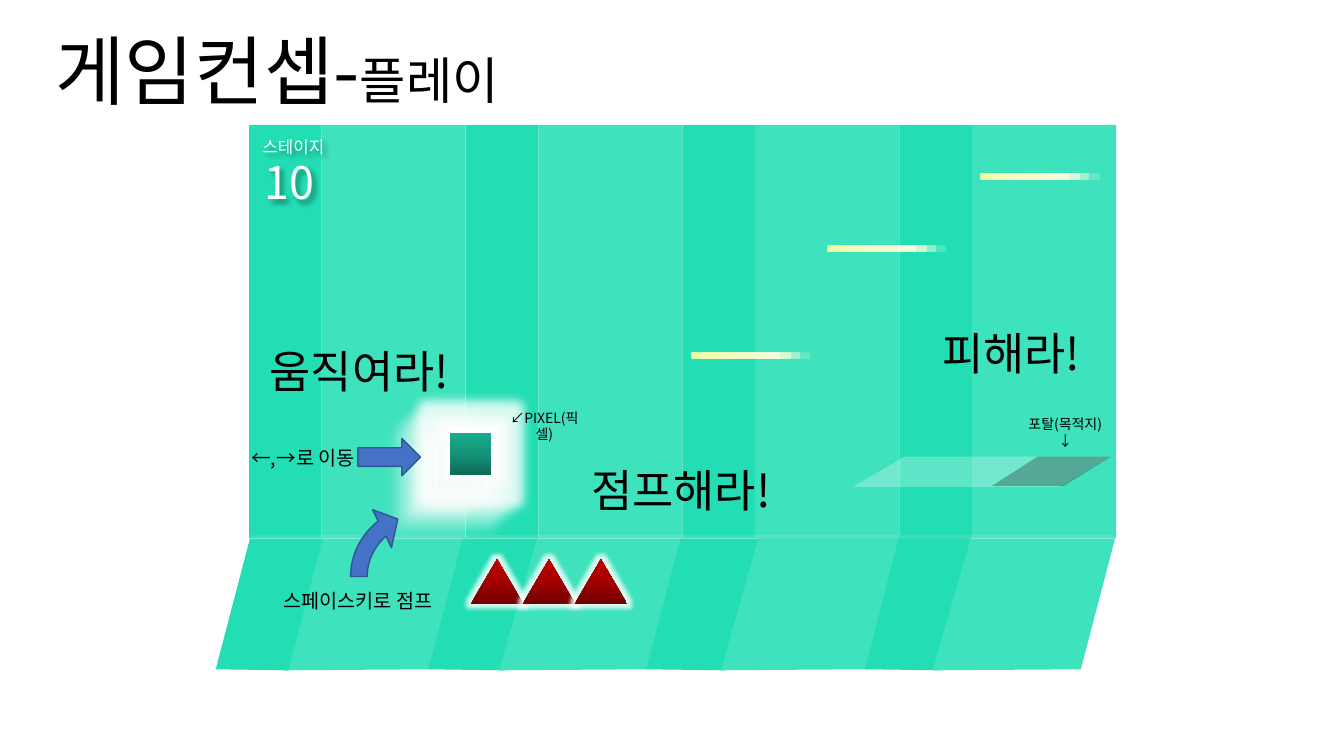
from lxml.etree import SubElement
from pptx import Presentation
from pptx.dml.color import RGBColor
from pptx.enum.shapes import MSO_SHAPE as Preset
from pptx.enum.text import MSO_AUTO_SIZE as AutoSize, PP_ALIGN as Align
from pptx.oxml.ns import qn
from pptx.util import Inches, Pt

FONT = "Noto Sans CJK KR"
BLACK = RGBColor(0x00, 0x00, 0x00)
WHITE = RGBColor(0xFF, 0xFF, 0xFF)
DARK_MINT = RGBColor(0x23, 0xDE, 0xB4)
LIGHT_MINT = RGBColor(0x3E, 0xE2, 0xBD)
ARROW_BLUE = RGBColor(0x44, 0x72, 0xC4)
ARROW_EDGE = RGBColor(0x32, 0x54, 0x91)
PIXEL_GREENS = [RGBColor(0x0E, 0x68, 0x54), RGBColor(0x13, 0x93, 0x77), RGBColor(0x17, 0xAF, 0x8E)]
SPIKE_REDS = [RGBColor(0x72, 0x00, 0x00), RGBColor(0xA2, 0x00, 0x00), RGBColor(0xC0, 0x00, 0x00)]
BEAM_YELLOWS = [RGBColor(0xFF, 0xFF, 0xA0), RGBColor(0xFF, 0xFF, 0xC5), RGBColor(0xFF, 0xFF, 0xE3)]


def add_color(parent, color, alpha=100):
    """Append a colour with its opacity in percent."""
    tint = SubElement(parent, qn("a:srgbClr"), val=str(color))
    if alpha < 100:
        SubElement(tint, qn("a:alpha"), val=str(alpha * 1000))


def paint(shape, color, alpha=100):
    """Give a shape a flat fill without outline or shadow."""
    shape.shadow.inherit = False
    shape.line.fill.background()
    shape.fill.solid()
    shape.fill.fore_color.rgb = color
    if alpha < 100:
        tint = shape.fill.fore_color._xFill.find(qn("a:srgbClr"))
        SubElement(tint, qn("a:alpha"), val=str(alpha * 1000))
    return shape


def paint_gradient(shape, colors, angle, alpha=100):
    """Give a shape an evenly spaced gradient fill."""
    paint(shape, colors[0])
    shape.fill.gradient()
    shape.fill.gradient_angle = 0
    gradient = shape._element.spPr.find(qn("a:gradFill"))
    gradient.find(qn("a:lin")).set("ang", str(angle * 60000))
    stops = gradient.find(qn("a:gsLst"))
    for stop in list(stops):
        stops.remove(stop)
    for index, color in enumerate(colors):
        stop = SubElement(stops, qn("a:gs"), pos=str(index * 50000))
        add_color(stop, color, alpha)
    return shape


def add_effect(shape, tag, color, alpha, **settings):
    """Add a glow or shadow to a shape."""
    shape.shadow.inherit = False
    effects = shape._element.spPr.find(qn("a:effectLst"))
    effect = SubElement(effects, qn(tag), **{key: str(value) for key, value in settings.items()})
    add_color(effect, color, alpha)


def add_preset(slide, preset, left, top, width, height):
    """Add a preset shape, measured in inches."""
    return slide.shapes.add_shape(preset, Inches(left), Inches(top), Inches(width), Inches(height))


def add_outline(slide, points):
    """Add a closed polygon through points in inches."""
    start, *rest = [(Inches(x), Inches(y)) for x, y in points]
    builder = slide.shapes.build_freeform(*start)
    builder.add_line_segments(rest, close=True)
    return builder.convert_to_shape()


def add_label(slide, box, lines, size, color=BLACK, wrap=False):
    """Add centred text, one paragraph a line."""
    label = slide.shapes.add_textbox(*map(Inches, box))
    frame = label.text_frame
    frame.text = lines
    frame.word_wrap = wrap
    frame.auto_size = AutoSize.SHAPE_TO_FIT_TEXT
    for paragraph in frame.paragraphs:
        paragraph.alignment = Align.CENTER
        for run in paragraph.runs:
            style_run(run, size, color)
    return label


def style_run(run, size, color):
    """Set the font, size and colour of a run."""
    run.font.name = FONT
    run.font.size = Pt(size)
    run.font.color.rgb = color
    SubElement(run._r.get_or_add_rPr(), qn("a:ea"), typeface=FONT)


def draw_title(slide, box):
    """Draw the heading with its smaller subtitle."""
    heading = add_label(slide, box, "게임컨셉-", 54)
    subtitle = heading.text_frame.paragraphs[0].add_run()
    subtitle.text = "플레이"
    style_run(subtitle, 36, BLACK)


def draw_wall(slide, left, top, height):
    """Draw alternating dark and light wall stripes."""
    for period in range(4):
        for offset, width, color in ((0, 0.72, DARK_MINT), (0.72, 1.43, LIGHT_MINT)):
            stripe = add_preset(slide, Preset.RECTANGLE, left + period * 2.15 + offset, top, width, height)
            paint(stripe, color)


def draw_floor(slide, left, top, depth):
    """Draw the slanted floor tiles and the seam to the wall."""
    tiles = [(0.72, 2.15, 0, LIGHT_MINT), (2.12, 2.87, 0, DARK_MINT),
             (2.86, 4.29, 0, LIGHT_MINT), (4.28, 5.06, 0, DARK_MINT),
             (0.01, 0.73, 0, DARK_MINT), (5.06, 6.49, 0.03, LIGHT_MINT),
             (6.45, 7.17, 0.03, DARK_MINT), (7.16, 8.59, 0, LIGHT_MINT)]
    for start, end, rise, color in tiles:
        is_light = color == LIGHT_MINT
        slant = 0.38 if is_light else 0.34
        left_dip, right_dip = (0, -0.01) if is_light else (-0.01, 0)
        corners = [(left + start, top - rise), (left + end, top - rise),
                   (left + end - 0.34, top + depth + right_dip),
                   (left + start - slant, top + depth + left_dip)]
        paint(add_outline(slide, corners), color)
    paint(add_preset(slide, Preset.RECTANGLE, left + 0.02, top - 0.03, 8.58, 0.04), WHITE, 10)


def draw_pixel(slide, left, top):
    """Draw the glowing hero and its fading trail."""
    for x, y, alpha in ((0, 0.26, 5), (0.07, 0.17, 15), (0.16, 0.1, 25), (0.26, 0, 100)):
        pixel = add_preset(slide, Preset.RECTANGLE, left + x, top + y, 0.44, 0.45)
        paint_gradient(pixel, PIXEL_GREENS, 270, alpha)
        add_effect(pixel, "a:glow", WHITE, min(alpha + 15, 80), rad=Pt(14))
    pixel.line.color.rgb = WHITE
    pixel.line.width = Pt(2.25)


def draw_spikes(slide, left, top):
    """Draw the row of red spikes."""
    for index in range(3):
        spike = add_preset(slide, Preset.ISOSCELES_TRIANGLE, left + index * 0.515, top, 0.52, 0.44)
        paint_gradient(spike, SPIKE_REDS, 270)
        add_effect(spike, "a:glow", WHITE, 80, rad=Pt(6))


def draw_beam(slide, left, top):
    """Draw a light beam that fades to the right."""
    for offset, width, alpha in ((0.1, 0.97, 40), (0.2, 0.97, 20), (0.01, 0.97, 60), (0, 0.87, 80)):
        beam = add_preset(slide, Preset.RECTANGLE, left + offset, top, width, 0.06)
        paint_gradient(beam, BEAM_YELLOWS, 0, alpha)


def draw_portal(slide, left, top):
    """Draw the goal portal and its shaded end."""
    paint(add_preset(slide, Preset.FLOWCHART_DATA, left, top, 2.56, 0.3), WHITE, 27)
    corners = [(1.38, 0.29), (1.83, 0), (2.56, 0), (2.09, 0.29)]
    paint(add_outline(slide, [(left + x, top + y) for x, y in corners]), BLACK, 27)


def draw_controls(slide, left, top):
    """Draw the jump and move arrows with their key hints."""
    jump = add_preset(slide, Preset.CIRCULAR_ARROW, left + 0.98, top + 0.53, 1.76, 1.68)
    for index, value in enumerate((0.098, 9.775, 136.327, 108, 0.125)):
        jump.adjustments[index] = value
    move = add_preset(slide, Preset.RIGHT_ARROW, left + 1.18, top, 0.62, 0.37)
    for arrow in (jump, move):
        paint(arrow, ARROW_BLUE)
        arrow.line.color.rgb = ARROW_EDGE
        arrow.line.width = Pt(1)
    add_label(slide, (left + 0.26, top + 1.44, 1.84, 0.34), "스페이스키로 점프", 14)
    add_label(slide, (left, top + 0.02, 1.27, 0.34), "←,→로 이동", 14, wrap=True)


def draw_stage_counter(slide, left, top):
    """Draw the stage caption and number with soft shadows."""
    caption = add_label(slide, (left, top, 0.88, 0.3), "스테이지", 12, WHITE)
    number = add_label(slide, (left + 0.05, top + 0.18, 0.7, 0.64), "10", 32, WHITE)
    for label in (caption, number):
        add_effect(label, "a:outerShdw", BLACK, 40, blurRad=Pt(4), dist=Pt(3), dir=2700000)


def draw_game(slide, left, top):
    """Draw the whole game scene from its top left corner."""
    draw_wall(slide, left, top, 4.1)
    draw_floor(slide, left, top + 4.1, 1.31)
    draw_pixel(slide, left + 1.72, top + 3.04)
    draw_spikes(slide, left + 2.2, top + 4.31)
    for x, y, width, call in ((0.03, 2.12, 2.13, "움직여라!"), (3.22, 3.3, 2.13, "점프해라!"),
                              (6.72, 1.94, 1.68, "피해라!")):
        add_label(slide, (left + x, top + y, width, 0.64), call, 32)
    for x, y in ((7.26, 0.48), (5.74, 1.2), (4.39, 2.26)):
        draw_beam(slide, left + x, top + y)
    draw_portal(slide, left + 5.99, top + 3.29)
    draw_controls(slide, left - 0.1, top + 3.11)
    add_label(slide, (left + 2.41, top + 2.77, 1.04, 0.27), "↙PIXEL(픽셀)", 10, wrap=True)
    draw_stage_counter(slide, left, top + 0.07)
    add_label(slide, (left + 7.6, top + 2.83, 0.99, 0.44), "포탈(목적지)\n↓", 10, wrap=True)


deck = Presentation()
deck.slide_width, deck.slide_height = Inches(13.33), Inches(7.5)
concept_slide = deck.slides.add_slide(deck.slide_layouts[6])
draw_game(concept_slide, 2.47, 1.24)
draw_title(concept_slide, (0.22, 0.19, 5.06, 1.01))
deck.save("out.pptx")
